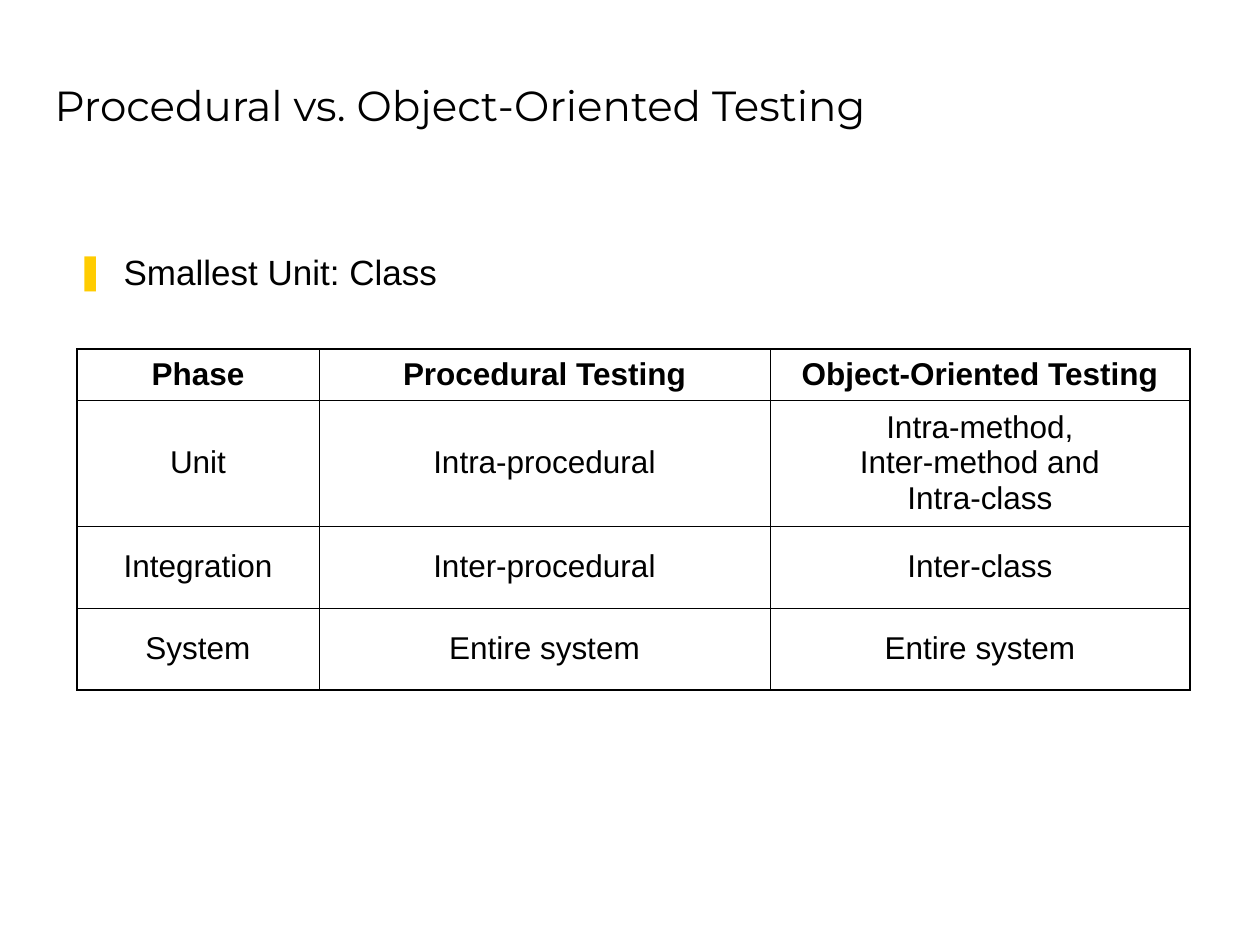
from lxml import etree
from pptx import Presentation
from pptx.dml.color import RGBColor
from pptx.enum import text
from pptx.oxml.ns import qn
from pptx.util import Pt

TITLE = "Procedural vs. Object-Oriented Testing"
BULLET = "Smallest Unit: Class"
ROWS = [
    ("Phase", "Procedural Testing", "Object-Oriented Testing"),
    ("Unit", "Intra-procedural", "Intra-method,\vInter-method and\vIntra-class"),
    ("Integration", "Inter-procedural", "Inter-class"),
    ("System", "Entire system", "Entire system"),
]
COL_WIDTHS = [242, 451, 420]
ROW_HEIGHTS = [51, 126, 82, 82]

BLACK = RGBColor(0, 0, 0)
YELLOW = RGBColor(0xFF, 0xCC, 0x00)
OUTER, INNER = Pt(1.08), Pt(0.45)
SCALE = 914400 / 126


def px(n):
    return round(n * SCALE)


def place(sp, left, top, width, height):
    sp.left, sp.top, sp.width, sp.height = map(px, (left, top, width, height))


def write(tf, words, size, font="Arial", bold=False, align=text.PP_ALIGN.LEFT,
          anchor=text.MSO_ANCHOR.TOP, before=0):
    tf.text = words
    tf.word_wrap = True
    tf.vertical_anchor = anchor
    p = tf.paragraphs[0]
    p.alignment = align
    p.space_before = Pt(before)
    for r in p.runs:
        r.font.name, r.font.size, r.font.bold = font, Pt(size), bold
        r.font.color.rgb = BLACK
    return p


def add_bullet(p, char, color, indent):
    pPr = p._p.get_or_add_pPr()
    pPr.set("marL", str(px(indent)))
    pPr.set("indent", str(-px(indent)))
    clr = etree.SubElement(pPr, qn("a:buClr"))
    etree.SubElement(clr, qn("a:srgbClr"), val=str(color))
    etree.SubElement(pPr, qn("a:buFont"), typeface="Arial")
    etree.SubElement(pPr, qn("a:buChar"), char=char)


def set_borders(cell, **widths):
    tcPr = cell._tc.get_or_add_tcPr()
    for i, (side, width) in enumerate(widths.items()):
        ln = etree.Element(qn(f"a:ln{side}"), w=str(int(width)))
        fill = etree.SubElement(ln, qn("a:solidFill"))
        etree.SubElement(fill, qn("a:srgbClr"), val=str(BLACK))
        tcPr.insert(i, ln)


def add_phase_table(slide):
    n_rows, n_cols = len(ROWS), len(COL_WIDTHS)
    table = slide.shapes.add_table(
        n_rows, n_cols, px(77), px(349),
        px(sum(COL_WIDTHS)), px(sum(ROW_HEIGHTS))).table
    table.horz_banding = False
    for col, width in zip(table.columns, COL_WIDTHS):
        col.width = px(width)
    for row, height in zip(table.rows, ROW_HEIGHTS):
        row.height = px(height)
    for i, row in enumerate(ROWS):
        for j, words in enumerate(row):
            cell = table.cell(i, j)
            write(cell.text_frame, words, 18, bold=i == 0,
                  align=text.PP_ALIGN.CENTER, before=4.5)
            cell.vertical_anchor = text.MSO_ANCHOR.MIDDLE
            cell.fill.background()
            set_borders(cell,
                        L=OUTER if j == 0 else INNER,
                        R=OUTER if j == n_cols - 1 else INNER,
                        T=OUTER if i == 0 else INNER,
                        B=OUTER if i == n_rows - 1 else INNER)


def main():
    prs = Presentation()
    prs.slide_width, prs.slide_height = px(1260), px(945)
    slide = prs.slides.add_slide(prs.slide_layouts[1])
    title, body = slide.placeholders

    place(title, 42, -21, 1071, 157)
    write(title.text_frame, TITLE, 24, font="Montserrat",
          anchor=text.MSO_ANCHOR.BOTTOM)

    place(body, 63, 244, 1126, 575)
    p = write(body.text_frame, BULLET, 20, before=5)
    add_bullet(p, "❚", YELLOW, 48)

    add_phase_table(slide)
    prs.save("out.pptx")


if __name__ == "__main__":
    main()
